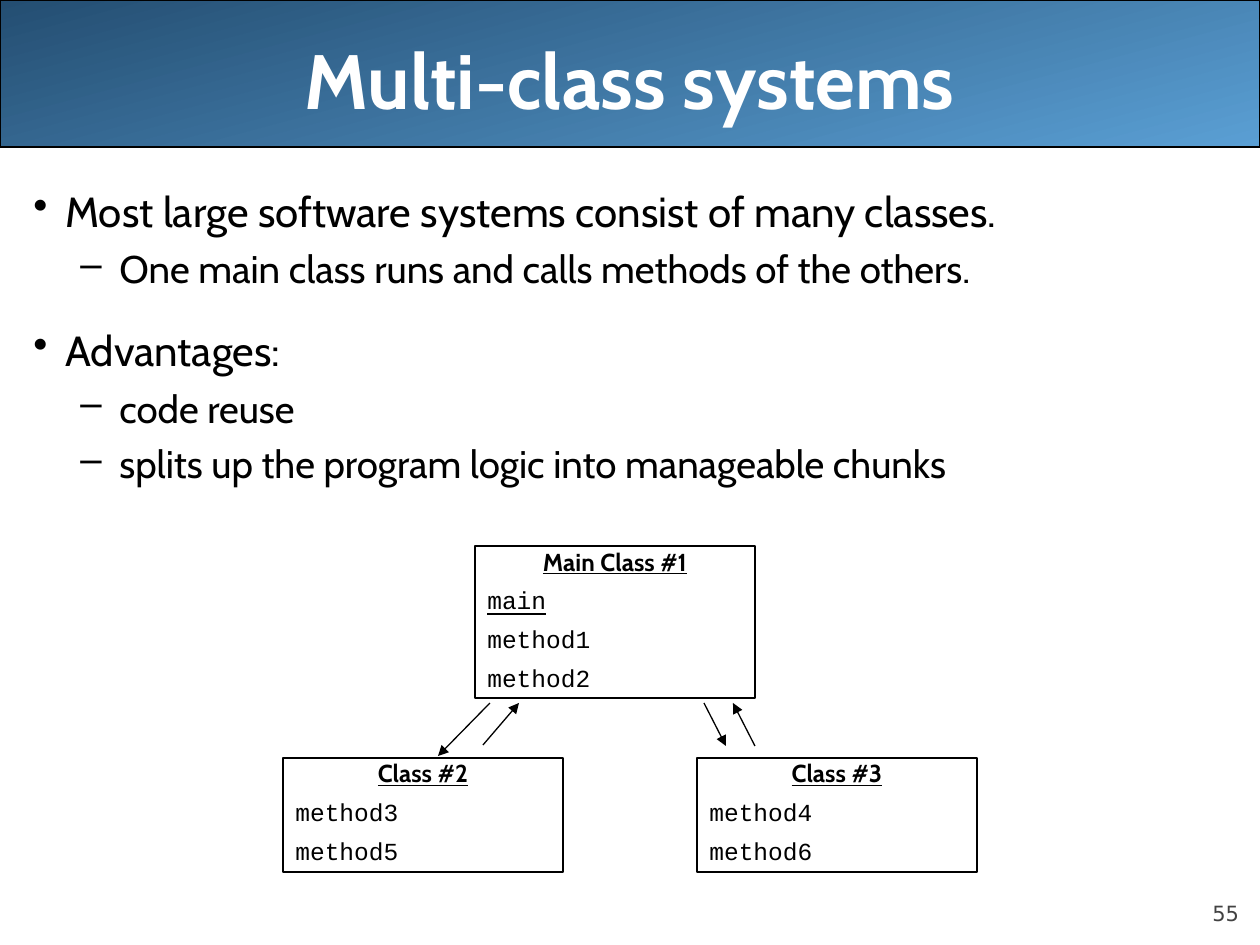
import dataclasses
import lxml.etree
import pptx
import pptx.dml.color
import pptx.enum.shapes
import pptx.enum.text
import pptx.oxml.ns
import pptx.util

SHAPE = pptx.enum.shapes.MSO_SHAPE
ALIGN = pptx.enum.text.PP_ALIGN
ANCHOR = pptx.enum.text.MSO_ANCHOR
FIT = pptx.enum.text.MSO_AUTO_SIZE
Pt = pptx.util.Pt


def px(count):
    return pptx.util.Emu(round(count * 914400 / 126))


def tint(code):
    return pptx.dml.color.RGBColor.from_string(code)


def child(node, tag, **attrs):
    return lxml.etree.SubElement(node, pptx.oxml.ns.qn(tag), **attrs)


def assign(target, values):
    for name, value in values.items():
        setattr(target, name, value)


@dataclasses.dataclass(frozen=True)
class Theme:
    ink: str = "000000"
    paper: str = "FFFFFF"
    muted: str = "424242"
    light: str = "5A9FD4"
    dark: str = "244E72"
    sans: str = "Cabin"
    mono: str = "Courier New"
    plain: str = "DejaVu Sans"
    title: int = 44
    point: int = 24
    detail: int = 22
    label: int = 14
    number: int = 12
    stroke: float = 0.75


class Deck:
    def __init__(self, theme):
        self.theme = theme
        self.file = pptx.Presentation()
        assign(self.file, {"slide_width": px(1260), "slide_height": px(945)})
        self.slide = self.file.slides.add_slide(self.file.slide_layouts[6])

    def stroke(self, line):
        line.color.rgb = tint(self.theme.ink)
        line.width = Pt(self.theme.stroke)

    def style(self, para, text, size, face=None, color=None, font=None, **form):
        run = para.add_run()
        run.text = text
        assign(run.font, {"size": Pt(size), "name": face or self.theme.sans, **(font or {})})
        run.font.color.rgb = tint(color or self.theme.ink)
        assign(para, form)

    def shape(self, kind, left, top, width, height):
        shape = self.slide.shapes.add_shape(kind, px(left), px(top), px(width), px(height))
        shape.shadow.inherit = False
        self.stroke(shape.line)
        return shape

    def banner(self, width, height):
        theme = self.theme
        shape = self.shape(SHAPE.RECTANGLE, 0, 0, width, height)
        shape.fill.gradient()
        shape.fill.gradient_angle = 105
        for stop, code in zip(shape.fill.gradient_stops, (theme.light, theme.dark)):
            stop.color.rgb = tint(code)

    def frame(self, left, top, width, height, **form):
        box = self.slide.shapes.add_textbox(px(left), px(top), px(width), px(height))
        assign(box.text_frame, {"word_wrap": True, **form})
        return box.text_frame

    def title(self, text):
        frame = self.frame(63, 0, 1134, 158, vertical_anchor=ANCHOR.MIDDLE)
        self.style(frame.paragraphs[0], text, self.theme.title, color=self.theme.paper,
                   font={"bold": True}, alignment=ALIGN.CENTER)

    def number(self, text):
        sides = ("left", "top", "right", "bottom")
        bare = {f"margin_{side}": 0 for side in sides}
        frame = self.frame(1134, 876, 105, 50, vertical_anchor=ANCHOR.BOTTOM, **bare)
        self.style(frame.paragraphs[0], text, self.theme.number, self.theme.plain,
                   self.theme.muted, alignment=ALIGN.RIGHT)

    def bullets(self, items):
        theme = self.theme
        levels = [(theme.point, "•", 32, -32, 19), (theme.detail, "–", 86, -39, 5.5)]
        frame = self.frame(21, 179, 1239, 714)
        for index, (level, text) in enumerate(items):
            size, mark, margin, indent, before = levels[level]
            para = frame.add_paragraph() if index else frame.paragraphs[0]
            props = para._p.get_or_add_pPr()
            assign(para, {"level": level})
            props.set("marL", str(px(margin)))
            props.set("indent", str(px(indent)))
            child(child(props, "a:buClr"), "a:srgbClr", val=theme.ink)
            child(props, "a:buChar", char=mark)
            self.style(para, text, size, space_before=Pt(before if index else 0))

    def card(self, left, top, name, methods):
        theme = self.theme
        shape = self.shape(SHAPE.RECTANGLE, left, top, 280, 38 * (len(methods) + 1))
        shape.fill.background()
        frame = shape.text_frame
        assign(frame, {"word_wrap": True, "vertical_anchor": ANCHOR.TOP,
                       "auto_size": FIT.SHAPE_TO_FIT_TEXT})
        self.style(frame.paragraphs[0], name, theme.label, alignment=ALIGN.CENTER,
                   line_spacing=0.8, font={"bold": True, "underline": True})
        for method in methods:
            self.style(frame.add_paragraph(), method, theme.label, theme.mono,
                       font={"underline": method == "main"}, alignment=ALIGN.LEFT,
                       line_spacing=0.8, space_before=Pt(8.8))

    def arrow(self, *ends):
        kind = pptx.enum.shapes.MSO_CONNECTOR.STRAIGHT
        link = self.slide.shapes.add_connector(kind, *map(px, ends))
        self.stroke(link.line)
        child(link.line._get_or_add_ln(), "a:tailEnd", type="triangle")
        child(link._element.spPr, "a:effectLst")


def main():
    deck = Deck(Theme())
    deck.banner(1260, 147)
    deck.number("55")
    deck.title("Multi-class systems")
    deck.bullets([
        (0, "Most large software systems consist of many classes."),
        (1, "One main class runs and calls methods of the others."),
        (0, "Advantages:"),
        (1, "code reuse"),
        (1, "splits up the program logic into manageable chunks"),
    ])
    deck.card(475, 546, "Main Class #1", ["main", "method1", "method2"])
    deck.card(283, 758, "Class #2", ["method3", "method5"])
    deck.card(697, 758, "Class #3", ["method4", "method6"])
    for ends in [(490, 703, 438, 756), (483, 745, 519, 703),
                 (704, 703, 726, 746), (755, 746, 733, 703)]:
        deck.arrow(*ends)
    deck.file.save("out.pptx")


if __name__ == "__main__":
    main()
